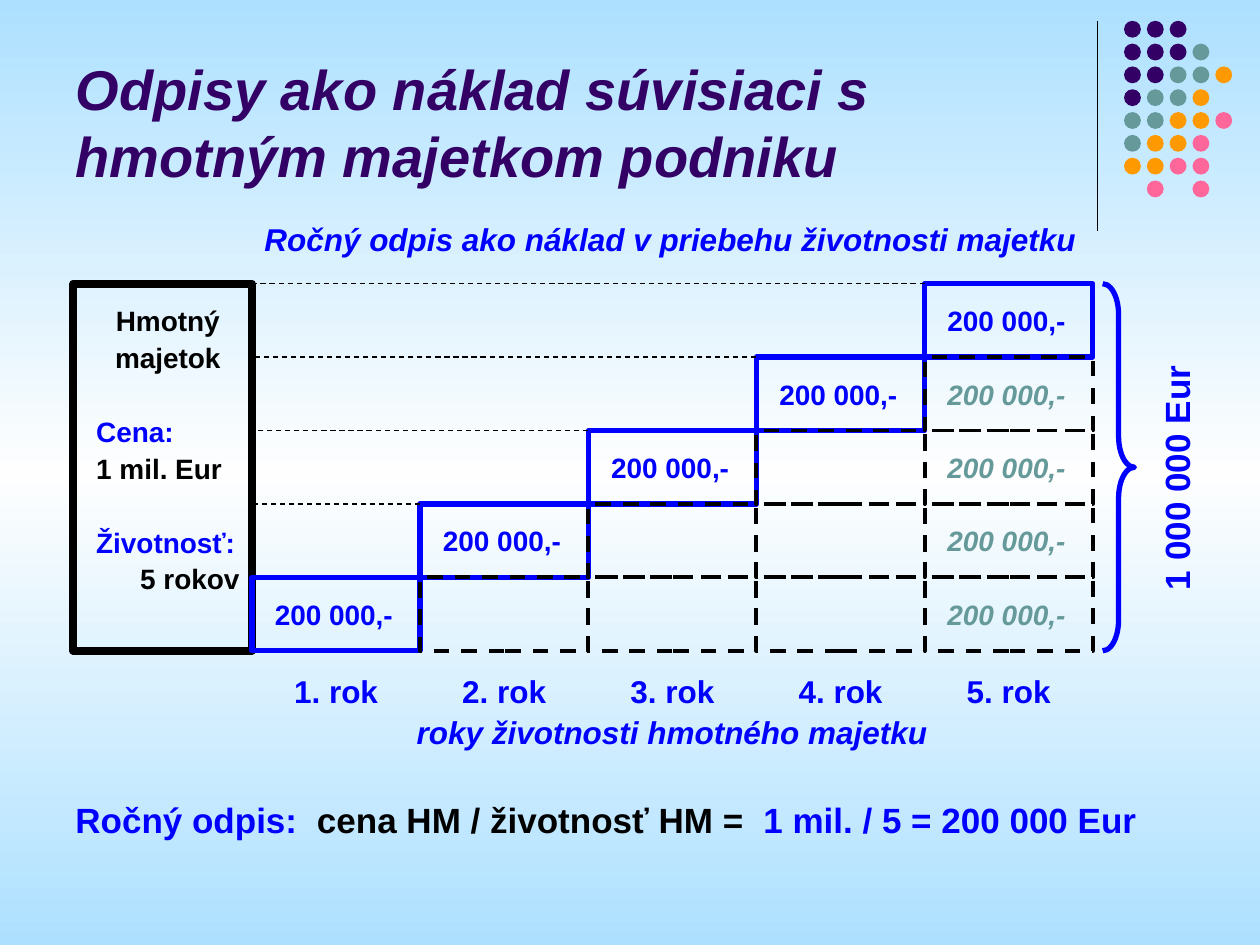
from dataclasses import dataclass

from lxml import etree
from pptx import Presentation
from pptx.dml.color import RGBColor
from pptx.enum.dml import MSO_LINE
from pptx.enum.shapes import MSO_CONNECTOR, MSO_SHAPE
from pptx.enum.text import MSO_ANCHOR, MSO_AUTO_SIZE, PP_ALIGN
from pptx.oxml.ns import qn
from pptx.util import Cm, Pt

LEFT, CENTER, RIGHT = PP_ALIGN.LEFT, PP_ALIGN.CENTER, PP_ALIGN.RIGHT
BOTTOM = MSO_ANCHOR.BOTTOM
NO_AUTOSIZE = MSO_AUTO_SIZE.NONE
DASH = MSO_LINE.DASH
STRAIGHT = MSO_CONNECTOR.STRAIGHT
RECTANGLE, OVAL, RIGHT_BRACE = MSO_SHAPE.RECTANGLE, MSO_SHAPE.OVAL, MSO_SHAPE.RIGHT_BRACE


@dataclass(frozen=True)
class Theme:
    font: str = "Arial"
    black: str = "000000"
    blue: str = "0000FF"
    purple: str = "330066"
    teal: str = "669999"
    orange: str = "FF9900"
    pink: str = "FF6699"
    sky: str = "ADE0FF"
    white: str = "FEFEFE"
    title_size: int = 32
    formula_size: int = 20
    caption_size: int = 18
    label_size: int = 16


THEME = Theme()


@dataclass(frozen=True)
class Frame:
    left: float
    top: float
    width: float
    height: float

    def lengths(self) -> tuple:
        return Cm(self.left), Cm(self.top), Cm(self.width), Cm(self.height)


@dataclass(frozen=True)
class Span:
    text: str
    color: str = THEME.blue


@dataclass(frozen=True)
class Line:
    spans: tuple
    size: int = THEME.label_size
    align: PP_ALIGN = LEFT
    italic: bool = False
    gap: float = 0


YEARS = 5
GRID_LEFT, GRID_TOP = 5.08, 5.72
COLUMN, ROW = 3.39, 1.48
GRID_HEIGHT = YEARS * ROW
AMOUNT = "200 000,-"
DOT_LEFT, DOT_TOP, DOT_PITCH, DOT_SIZE = 22.66, 0.42, 0.46, 0.34
DOT_ROWS = ("PPP", "PPPT", "PPTTO", "PTTO", "TTOOR", "TOOR", "OORR", " R R")
DOT_COLORS = {"P": THEME.purple, "T": THEME.teal, "O": THEME.orange, "R": THEME.pink}

ASSET_LINES = (
    Line((Span("Hmotný", THEME.black),), align=CENTER),
    Line((Span("majetok", THEME.black),), align=CENTER),
    Line((Span("Cena:"),), gap=21.1),
    Line((Span("1 mil. Eur", THEME.black),)),
    Line((Span("Životnosť:"),), gap=21.1),
    Line((Span("5 rokov", THEME.black),), align=RIGHT),
)
FORMULA = (
    Span("Ročný odpis: "),
    Span(" cena HM / životnosť HM = ", THEME.black),
    Span(" 1 mil. / 5 = 200 000 Eur"),
)


def rgb(color: str) -> RGBColor:
    return RGBColor.from_string(color)


def paint_background(slide) -> None:
    fill = slide.background.fill
    fill.gradient()
    fill.gradient_angle = 90
    stops = next(slide.element.iter(qn("a:gsLst")))
    for stop in list(stops):
        stops.remove(stop)
    for position, color in ((0, THEME.sky), (50000, THEME.white), (100000, THEME.sky)):
        stop = etree.SubElement(stops, qn("a:gs"), pos=str(position))
        etree.SubElement(stop, qn("a:srgbClr"), val=color)


def add_outline(slide, kind: MSO_SHAPE, frame: Frame, color: str, weight: float, dashed: bool = False):
    shape = slide.shapes.add_shape(kind, *frame.lengths())
    shape.shadow.inherit = False
    shape.fill.background()
    shape.line.color.rgb = rgb(color)
    shape.line.width = Pt(weight)
    if dashed:
        shape.line.dash_style = DASH
    return shape


def add_rule(slide, start: tuple, end: tuple, dashed: bool = False) -> None:
    ends = [Cm(value) for value in start + end]
    rule = slide.shapes.add_connector(STRAIGHT, *ends)
    rule.line.color.rgb = rgb(THEME.black)
    rule.line.width = Pt(0.75)
    if dashed:
        rule.line.dash_style = DASH
    etree.SubElement(rule.element.spPr, qn("a:effectLst"))


def add_text(slide, frame: Frame, *lines: Line):
    box = slide.shapes.add_textbox(*frame.lengths())
    text_frame = box.text_frame
    text_frame.word_wrap = True
    for index, line in enumerate(lines):
        para = text_frame.add_paragraph() if index else text_frame.paragraphs[0]
        para.alignment = line.align
        para.line_spacing = 1.1
        para.space_before = Pt(line.gap)
        para.font.name = THEME.font
        para.font.size = Pt(line.size)
        para.font.bold = True
        para.font.italic = line.italic
        for span in line.spans:
            run = para.add_run()
            run.text = span.text
            run.font.color.rgb = rgb(span.color)
    return box


def add_dots(slide) -> None:
    for row, codes in enumerate(DOT_ROWS):
        for column, code in enumerate(codes):
            if code in DOT_COLORS:
                frame = Frame(DOT_LEFT + column * DOT_PITCH, DOT_TOP + row * DOT_PITCH, DOT_SIZE, DOT_SIZE)
                dot = slide.shapes.add_shape(OVAL, *frame.lengths())
                dot.shadow.inherit = False
                dot.fill.solid()
                dot.fill.fore_color.rgb = rgb(DOT_COLORS[code])
                dot.line.fill.background()


def set_title(slide) -> None:
    title = slide.shapes.title
    title.left, title.top, title.width, title.height = Frame(1.27, 0.33, 20.96, 3.61).lengths()
    title.text_frame.text = "Odpisy ako náklad súvisiaci s hmotným majetkom podniku"
    title.text_frame.word_wrap = True
    title.text_frame.auto_size = NO_AUTOSIZE
    title.text_frame.vertical_anchor = BOTTOM
    para = title.text_frame.paragraphs[0]
    para.alignment = LEFT
    para.font.name = THEME.font
    para.font.size = Pt(THEME.title_size)
    para.font.bold = para.font.italic = True
    para.font.color.rgb = rgb(THEME.purple)


def cell_frame(column: int, row: int) -> Frame:
    return Frame(GRID_LEFT + column * COLUMN, GRID_TOP + row * ROW, COLUMN, ROW)


def add_amount(slide, cell: Frame, color: str, italic: bool) -> None:
    frame = Frame(cell.left + 0.21, cell.top + 0.21, 2.96, 1.02)
    add_text(slide, frame, Line((Span(AMOUNT, color),), italic=italic))


def add_staircase(slide) -> None:
    add_outline(slide, RECTANGLE, Frame(1.48, GRID_TOP, 3.6, GRID_HEIGHT), THEME.black, 4.5)
    steps = [cell_frame(column, YEARS - 1 - column) for column in range(YEARS)]
    for step in steps:
        add_outline(slide, RECTANGLE, step, THEME.blue, 3)
    for column in range(1, YEARS):
        for row in range(YEARS - column, YEARS):
            add_outline(slide, RECTANGLE, cell_frame(column, row), THEME.black, 2.25, dashed=True)
    for year, step in enumerate(steps, 1):
        if year > 1:
            add_rule(slide, (step.left, step.top), (GRID_LEFT, step.top), dashed=True)
        add_amount(slide, step, THEME.blue, italic=False)
        year_line = Line((Span(f"{year}. rok"),), THEME.caption_size, CENTER)
        add_text(slide, Frame(step.left, 13.34, COLUMN, 1.09), year_line)
    for row in range(1, YEARS):
        add_amount(slide, cell_frame(YEARS - 1, row), THEME.teal, italic=True)
    add_text(slide, Frame(1.69, 5.93, 3.39, 6.22), *ASSET_LINES)


def add_captions(slide) -> None:
    heading = Span("Ročný odpis ako náklad v priebehu životnosti majetku")
    add_text(slide, Frame(5.08, 4.23, 17, 1.09), Line((heading,), THEME.caption_size, italic=True))
    axis = Span("roky životnosti hmotného majetku")
    add_text(slide, Frame(5.72, 14.18, 15.66, 1.09), Line((axis,), THEME.caption_size, CENTER, True))
    add_text(slide, Frame(1.27, 15.88, 22.65, 1.19), Line(FORMULA, THEME.formula_size))
    total_line = Line((Span("1 000 000 Eur"),), THEME.formula_size)
    total = add_text(slide, Frame(19.86, 8.92, 7.62, 1.19), total_line)
    total.text_frame.margin_left = Cm(1.43)
    total.rotation = 270
    brace = add_outline(slide, RIGHT_BRACE, Frame(22.23, GRID_TOP, 0.64, GRID_HEIGHT), THEME.blue, 3)
    brace.adjustments[0] = 0.97


def main() -> None:
    deck = Presentation()
    deck.slide_width, deck.slide_height = Cm(25.4), Cm(19.05)
    page = deck.slides.add_slide(deck.slide_layouts[5])
    paint_background(page)
    add_rule(page, (22.12, 0.42), (22.12, 4.66))
    add_dots(page)
    set_title(page)
    add_staircase(page)
    add_captions(page)
    deck.save("out.pptx")


if __name__ == "__main__":
    main()
